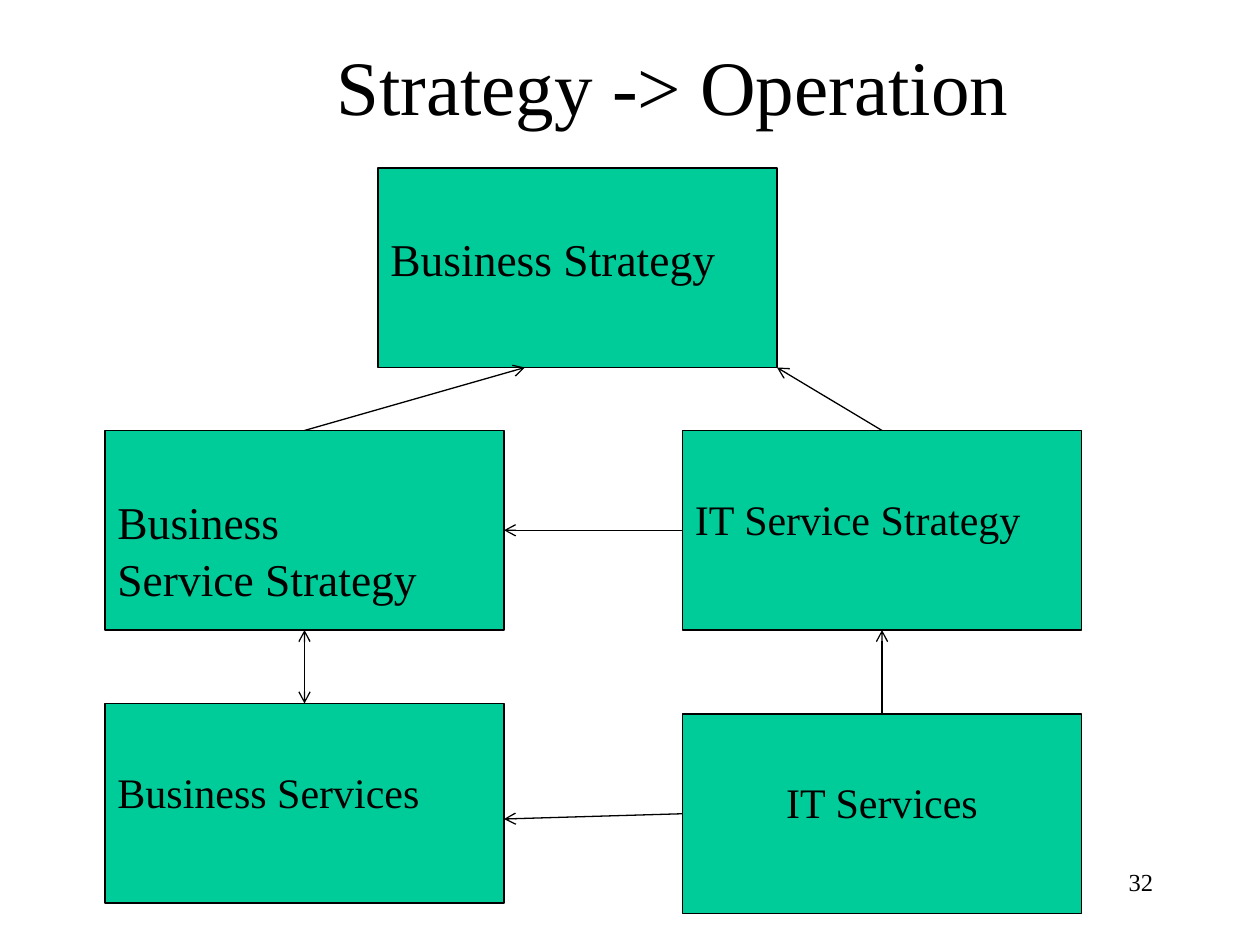
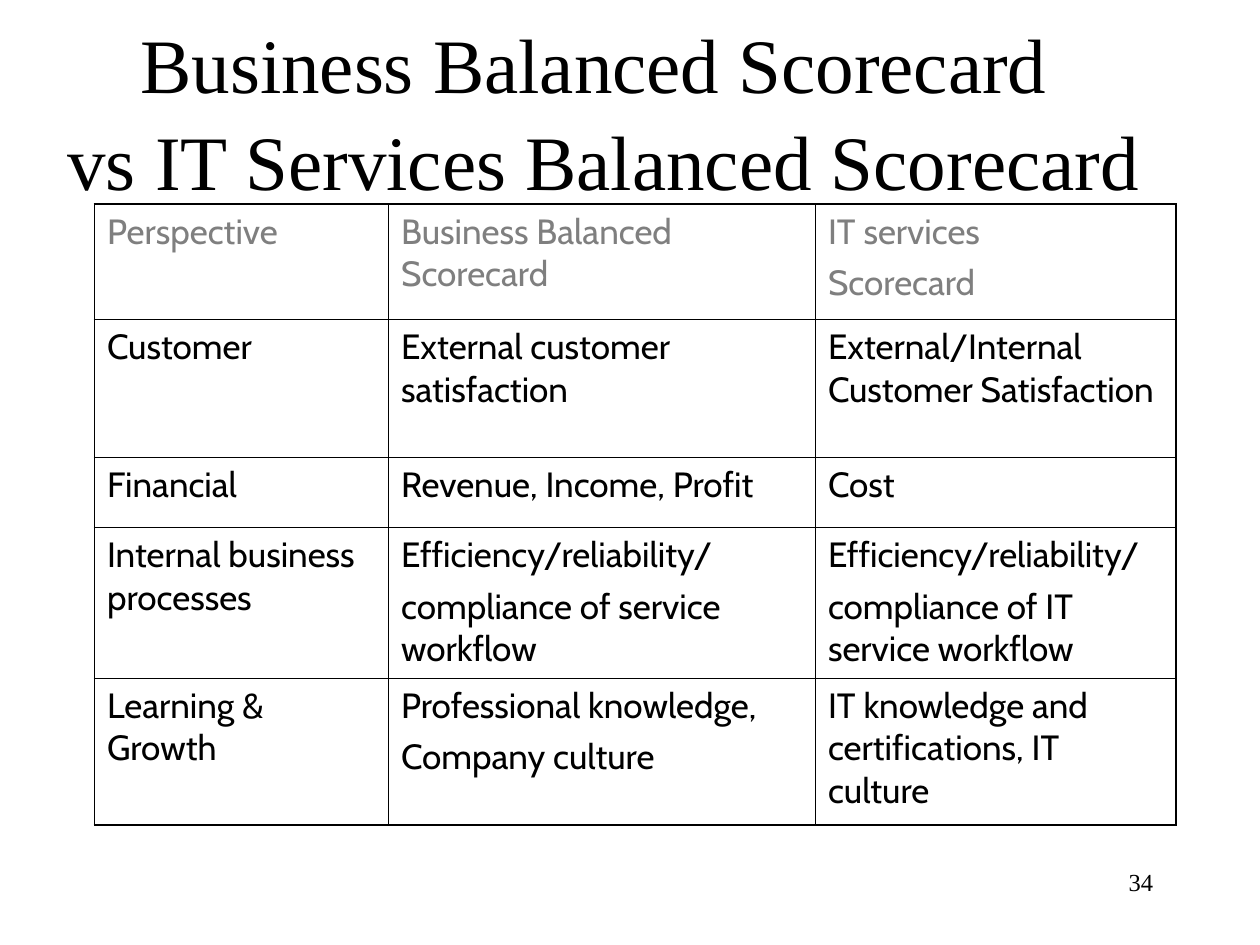
from lxml import etree
from pptx import Presentation
from pptx.dml.color import RGBColor
from pptx.enum.shapes import MSO_CONNECTOR, MSO_SHAPE
from pptx.enum.text import MSO_ANCHOR, MSO_AUTO_SIZE, PP_ALIGN
from pptx.oxml.ns import qn
from pptx.util import Pt

BLACK = RGBColor(0x00, 0x00, 0x00)
GRAY = RGBColor(0x7F, 0x7F, 0x7F)
GREEN = RGBColor(0x00, 0xCC, 0x99)
SERIF = "Times New Roman"
SANS = "Cabin"
LEFT, CENTER, RIGHT = PP_ALIGN.LEFT, PP_ALIGN.CENTER, PP_ALIGN.RIGHT
TOP, MIDDLE = MSO_ANCHOR.TOP, MSO_ANCHOR.MIDDLE
NO_AUTOFIT = MSO_AUTO_SIZE.NONE
RECTANGLE = MSO_SHAPE.RECTANGLE
STRAIGHT = MSO_CONNECTOR.STRAIGHT
SIDE_TOP, SIDE_LEFT, SIDE_BOTTOM, SIDE_RIGHT = range(4)
TITLE_ONLY = 5

LINE_WIDTH = 0.75
OUTER_BORDER, INNER_BORDER = 1.08, 0.45
LINE_SPACING = 1.05
BOX_WIDTH, BOX_HEIGHT = 228, 114

SCORECARD = [
    [["Perspective"], ["Business Balanced Scorecard"], ["IT services", "Scorecard"]],
    [["Customer"], ["External customer satisfaction"],
     ["External/Internal Customer Satisfaction"]],
    [["Financial"], ["Revenue, Income, Profit"], ["Cost"]],
    [["Internal business processes"],
     ["Efficiency/reliability/", "compliance of service workflow"],
     ["Efficiency/reliability/", "compliance of IT service workflow"]],
    [["Learning & Growth"], ["Professional knowledge,", "Company culture"],
     ["IT knowledge and certifications, IT culture"]],
]
COLUMN_WIDTHS = [168, 244, 206]
ROW_HEIGHTS = [66, 79, 40, 86, 84]


class Deck:
    def __init__(self):
        self.prs = Presentation()
        self.prs.slide_width, self.prs.slide_height = Pt(720), Pt(540)
        self.slide = None

    def add_text(self, tf, paragraphs, size, font=SERIF, color=BLACK, align=LEFT,
                 gap=0, spacing=None):
        """Fill a text frame; a newline inside a paragraph is a line break."""
        tf.word_wrap = True
        for i, text in enumerate(paragraphs):
            p = tf.add_paragraph() if i else tf.paragraphs[0]
            p.alignment = align
            p.line_spacing = spacing
            if i and gap:
                p.space_before = Pt(gap)
            for j, line in enumerate(text.split("\n")):
                if j:
                    p.add_line_break()
                r = p.add_run()
                r.text = line
                r.font.size = Pt(size)
                r.font.name = font
                r.font.color.rgb = color

    def add_slide(self, title, left, top, width, number):
        self.slide = self.prs.slides.add_slide(self.prs.slide_layouts[TITLE_ONLY])
        sp = self.slide.shapes.title
        sp.left, sp.top, sp.width, sp.height = Pt(left), Pt(top), Pt(width), Pt(90)
        tf = sp.text_frame
        tf.auto_size = NO_AUTOFIT
        tf.vertical_anchor = MIDDLE
        tf.margin_top, tf.margin_bottom = Pt(4.5), Pt(0)
        self.add_text(tf, [title], 44, align=CENTER, spacing=LINE_SPACING)
        sp = self.slide.shapes.add_textbox(Pt(516), Pt(492), Pt(150), Pt(36))
        self.add_text(sp.text_frame, [number], 14, align=RIGHT)

    def box(self, left, top, paragraphs, size=24, align=LEFT):
        sp = self.slide.shapes.add_shape(
            RECTANGLE, Pt(left), Pt(top), Pt(BOX_WIDTH), Pt(BOX_HEIGHT))
        sp.shadow.inherit = False
        sp.fill.solid()
        sp.fill.fore_color.rgb = GREEN
        sp.line.color.rgb = BLACK
        sp.line.width = Pt(LINE_WIDTH)
        tf = sp.text_frame
        tf.vertical_anchor = TOP
        tf.margin_top = Pt(34.5)
        self.add_text(tf, paragraphs, size, align=align, spacing=LINE_SPACING)
        return sp

    def arrow(self, start, end, both=False):
        """Join a (box, side) pair to another such pair or to an (x, y) point."""
        cxn = self.slide.shapes.add_connector(STRAIGHT, Pt(0), Pt(0), Pt(0), Pt(0))
        cxn.begin_connect(*start)
        if isinstance(end[0], (int, float)):
            cxn.end_x, cxn.end_y = Pt(end[0]), Pt(end[1])
        else:
            cxn.end_connect(*end)
        cxn.line.color.rgb = BLACK
        cxn.line.width = Pt(LINE_WIDTH)
        spPr = cxn._element.spPr
        ln = spPr.find(qn("a:ln"))
        for tag in ["a:headEnd", "a:tailEnd"] if both else ["a:tailEnd"]:
            etree.SubElement(ln, qn(tag), type="arrow")
        etree.SubElement(spPr, qn("a:effectLst"))

    def border(self, cell, widths):
        """Set cell borders from widths in left, right, top, bottom order."""
        tcPr = cell._tc.get_or_add_tcPr()
        for i, (side, width) in enumerate(zip("LRTB", widths)):
            ln = etree.Element(qn("a:ln" + side), w=str(Pt(width)))
            fill = etree.SubElement(ln, qn("a:solidFill"))
            etree.SubElement(fill, qn("a:srgbClr"), val=str(BLACK))
            tcPr.insert(i, ln)

    def table(self, left, top, widths, heights, rows):
        n_rows, n_cols = len(heights), len(widths)
        tbl = self.slide.shapes.add_table(
            n_rows, n_cols, Pt(left), Pt(top), Pt(sum(widths)), Pt(sum(heights))).table
        tbl.first_row = tbl.horz_banding = False
        for column, width in zip(tbl.columns, widths):
            column.width = Pt(width)
        for row, height in zip(tbl.rows, heights):
            row.height = Pt(height)
        for i, row in enumerate(rows):
            for j, paragraphs in enumerate(row):
                cell = tbl.cell(i, j)
                cell.fill.background()
                self.add_text(cell.text_frame, paragraphs, 20, SANS,
                              BLACK if i else GRAY, gap=5)
                on_edge = [j == 0, j == n_cols - 1, i == 0, i == n_rows - 1]
                self.border(cell, [OUTER_BORDER if e else INNER_BORDER for e in on_edge])


def strategy_slide(deck):
    deck.add_slide("Strategy -> Operation", 78, 0, 613, "32")
    left, right = 60, 390
    business_service = deck.box(left, 246, ["Business", "Service Strategy"], 26)
    it_strategy = deck.box(right, 246, ["IT Service Strategy"])
    business = deck.box(left, 402, ["Business Services"])
    it_services = deck.box(right, 408, ["IT Services"], align=CENTER)
    deck.box(216, 96, ["Business Strategy"], 26)

    deck.arrow((business_service, SIDE_TOP), (300, 210))
    deck.arrow((business, SIDE_TOP), (business_service, SIDE_BOTTOM), both=True)
    deck.arrow((it_strategy, SIDE_LEFT), (business_service, SIDE_RIGHT))
    deck.arrow((it_services, SIDE_TOP), (it_strategy, SIDE_BOTTOM))
    deck.arrow((it_services, SIDE_LEFT), (left + BOX_WIDTH, 468))
    deck.arrow((it_strategy, SIDE_TOP), (444, 210))


def scorecard_slide(deck):
    deck.add_slide("Business Balanced Scorecard \nvs IT Services Balanced Scorecard",
                   25, 15, 640, "34")
    deck.table(54, 116.5, COLUMN_WIDTHS, ROW_HEIGHTS, SCORECARD)


def main():
    deck = Deck()
    strategy_slide(deck)
    scorecard_slide(deck)
    deck.prs.save("out.pptx")


if __name__ == "__main__":
    main()
